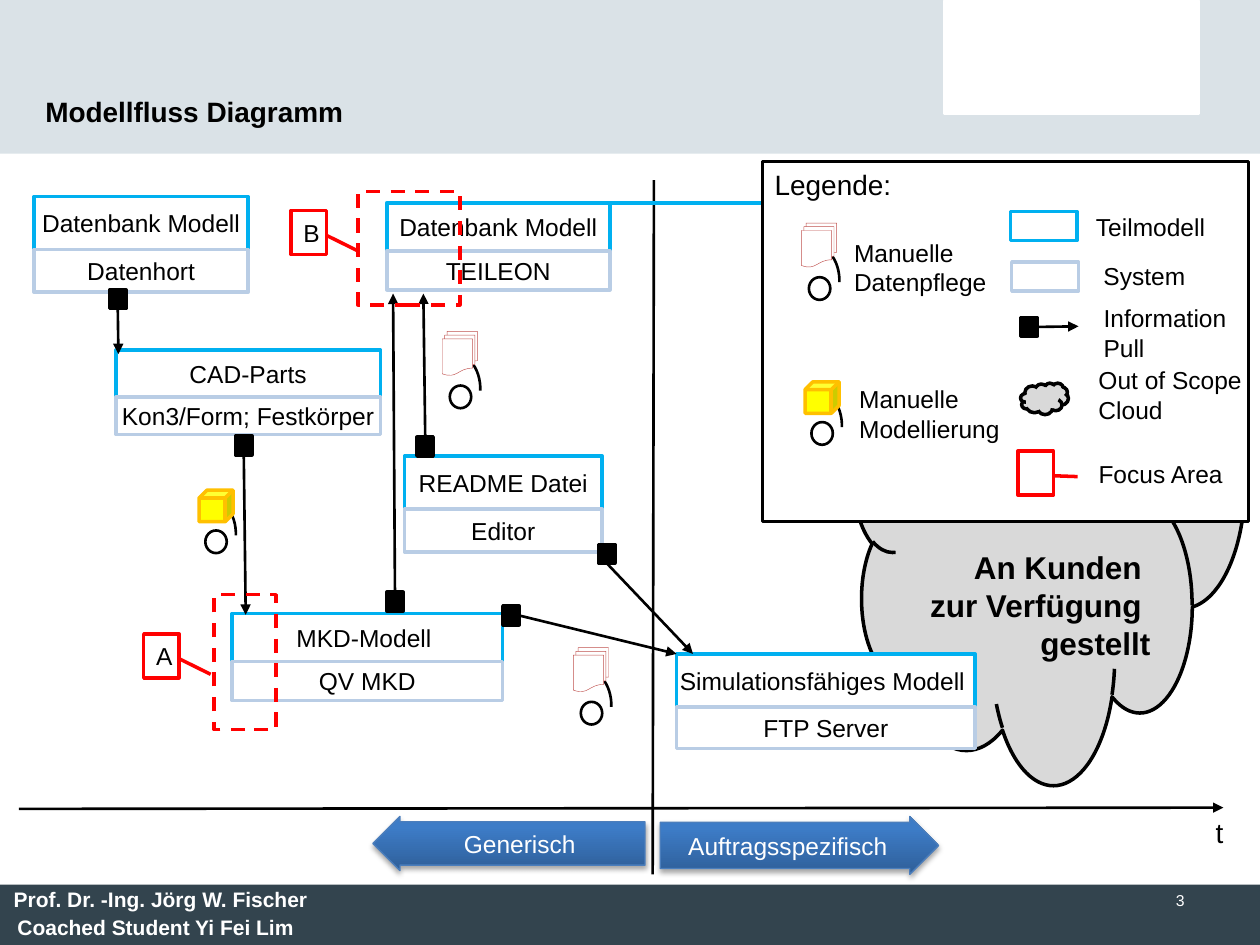
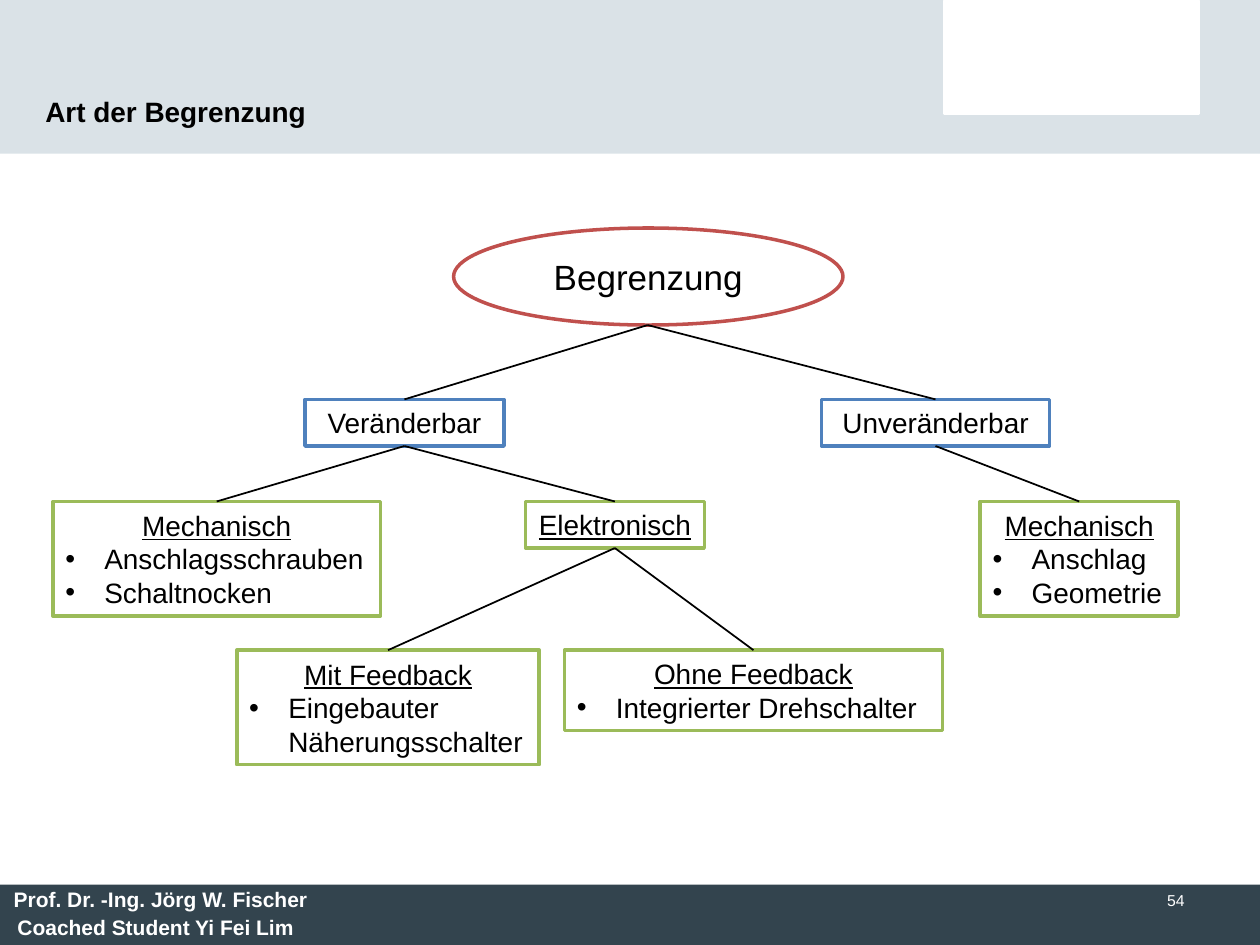
import lxml.etree
import pptx
import pptx.dml.color
import pptx.enum.dml
import pptx.enum.shapes
import pptx.enum.text
import pptx.oxml
import pptx.oxml.ns
import pptx.util

RGBColor = pptx.dml.color.RGBColor
BLACK = RGBColor(0x00, 0x00, 0x00)
WHITE = RGBColor(0xFF, 0xFF, 0xFF)
HEADER_GREY = RGBColor(0xDA, 0xE2, 0xE7)
FOOTER_SLATE = RGBColor(0x33, 0x44, 0x4E)
MODEL_CYAN = RGBColor(0x00, 0xB0, 0xF0)
SYSTEM_BLUE = RGBColor(0xB9, 0xCD, 0xE5)
FOCUS_RED = RGBColor(0xFF, 0x00, 0x00)
CLOUD_GREY = RGBColor(0xD9, 0xD9, 0xD9)
CUBE_YELLOW = RGBColor(0xFF, 0xFF, 0x00)
CUBE_ORANGE = RGBColor(0xFF, 0xC0, 0x00)
BRICK = RGBColor(0xC0, 0x50, 0x4D)
LEVEL_BLUE = RGBColor(0x4F, 0x81, 0xBD)
LEAF_GREEN = RGBColor(0x9B, 0xBB, 0x59)
PHASE_DARK = RGBColor(0x2F, 0x5F, 0x99)
PHASE_LIGHT = RGBColor(0x3D, 0x7C, 0xC7)
PHASE_EDGE = RGBColor(0x4B, 0x7E, 0xBC)

SHAPE = pptx.enum.shapes.MSO_SHAPE
ALIGN = pptx.enum.text.PP_ALIGN
ANCHOR = pptx.enum.text.MSO_ANCHOR
TOP, LEFT, BOTTOM, RIGHT = range(4)

presentation = pptx.Presentation()
presentation.slide_width = pptx.util.Inches(10)
presentation.slide_height = pptx.util.Inches(7.5)
COLUMN = presentation.slide_width / 100
ROW = presentation.slide_height / 75


def add_box(slide, preset, at, fill=None, line=None, width=2, text=None, size=14,
            color=BLACK, bold=False, align=ALIGN.CENTER, anchor=ANCHOR.MIDDLE):
    """Add a shape, or a text box if preset is None; at is x, y, w, h in grid cells."""
    x, y, w, h = at
    frame = int(x * COLUMN), int(y * ROW), int(w * COLUMN), int(h * ROW)
    if preset is None:
        box = slide.shapes.add_textbox(*frame)
    else:
        box = slide.shapes.add_shape(preset, *frame)
        box.shadow.inherit = False
        if fill is None:
            box.fill.background()
        else:
            box.fill.solid()
            box.fill.fore_color.rgb = fill
        if line is None:
            box.line.fill.background()
        else:
            box.line.color.rgb = line
            box.line.width = pptx.util.Pt(width)
    if text:
        box.text_frame.word_wrap = False
        box.text_frame.vertical_anchor = anchor
        paragraph = box.text_frame.paragraphs[0]
        paragraph.text = text
        paragraph.alignment = align
        paragraph.font.name = "Arial"
        paragraph.font.size = pptx.util.Pt(size)
        paragraph.font.bold = bold
        paragraph.font.color.rgb = color
    return box


def add_line(slide, start, end, color=BLACK, width=1.5, arrow=False):
    connector = slide.shapes.add_connector(
        pptx.enum.shapes.MSO_CONNECTOR.STRAIGHT,
        int(start[0] * COLUMN), int(start[1] * ROW), int(end[0] * COLUMN), int(end[1] * ROW))
    connector.line.color.rgb = color
    connector.line.width = pptx.util.Pt(width)
    if arrow:
        lxml.etree.SubElement(connector.line._get_or_add_ln(),
                              pptx.oxml.ns.qn("a:tailEnd"), type="triangle")
    lxml.etree.SubElement(connector.element.spPr, pptx.oxml.ns.qn("a:effectLst"))
    return connector


# Slides with title and page number
layout = presentation.slide_layouts[5]
layout_title = layout.placeholders[0]
layout_title.left, layout_title.top = int(2.6 * COLUMN), int(4.4 * ROW)
layout_title.width, layout_title.height = int(60.7 * COLUMN), int(6.3 * ROW)
layout_title.text_frame.vertical_anchor = ANCHOR.BOTTOM

slides = []
for heading, page in (("Modellfluss Diagramm", "3"), ("Art der Begrenzung", "54")):
    slide = presentation.slides.add_slide(layout)
    title = slide.shapes.title.text_frame.paragraphs[0]
    title.text = heading
    title.alignment = ALIGN.LEFT
    title.font.name = "Arial"
    title.font.size = pptx.util.Pt(16)
    title.font.bold = True
    title.font.color.rgb = BLACK
    add_box(slide, None, (71.7, 70.2, 23.3, 4.8), text=page, size=9, color=WHITE,
            align=ALIGN.RIGHT, anchor=ANCHOR.TOP).text_frame.word_wrap = True
    slides.append(slide)
flow, limits = slides

# Bands and footer, moved to the layout that both slides share
bands = [
    add_box(flow, SHAPE.RECTANGLE, (0, 0, 100, 12.2), HEADER_GREY),
    add_box(flow, SHAPE.RECTANGLE, (75, 0.1, 20.1, 8.9), WHITE, WHITE),
    add_box(flow, SHAPE.RECTANGLE, (0, 70.2, 100, 4.8), FOOTER_SLATE),
]
for x, y, w, author in ((0.1, 69.9, 26.8, "Prof. Dr. -Ing. Jörg W. Fischer"),
                        (0.4, 72.1, 24.5, "Coached Student Yi Fei Lim")):
    bands.append(add_box(flow, None, (x, y, w, 3), text=author, size=12, color=WHITE,
                         bold=True, align=ALIGN.LEFT, anchor=ANCHOR.TOP))
for number, band in enumerate(bands, start=101):
    band.element.xpath(".//p:cNvPr")[0].set("id", str(number))
    layout.shapes.element.append(band.element)

# Model flow: time axis, cloud and models with their systems
add_line(flow, (1.5, 64.2), (97.1, 64.1), arrow=True)
add_box(flow, None, (95.5, 64.2, 2.7, 3.7), text="t", size=16,
        align=ALIGN.LEFT, anchor=ANCHOR.TOP)
add_box(flow, SHAPE.CLOUD, (67.7, 15.6, 31.1, 46.6), CLOUD_GREY, BLACK,
        text="An Kunden \nzur Verfügung \ngestellt", size=18, bold=True,
        align=ALIGN.RIGHT, anchor=ANCHOR.BOTTOM)

models = (
    (2.7, 15.6, 17, 4.2, 3.4, "Datenbank Modell", "Datenhort"),
    (9.2, 27.8, 21, 3.7, 3, "CAD-Parts", "Kon3/Form; Festkörper"),
    (18.4, 48.7, 21.5, 3.8, 3.1, "MKD-Modell ", "QV MKD"),
    (32.1, 36.2, 15.7, 4.2, 3.4, "README Datei", "Editor"),
    (30.7, 16.1, 17.7, 3.8, 3.1, "Datenbank Modell", "TEILEON"),
    (53.7, 51.9, 23.7, 4.2, 3.3, "Simulationsfähiges Modell ", "FTP Server"),
)
for x, y, w, model_h, system_h, model, system in models:
    add_box(flow, SHAPE.RECTANGLE, (x, y, w, model_h), WHITE, MODEL_CYAN, text=model)
    add_box(flow, SHAPE.RECTANGLE, (x, y + model_h, w, system_h), WHITE, SYSTEM_BLUE,
            text=system)

add_line(flow, (51.9, 14.3), (51.8, 69.4))
add_line(flow, (48.4, 16.1), (78.4, 16.1), MODEL_CYAN, 2.25)

phases = (
    (SHAPE.LEFT_ARROW, (29.6, 64.8, 21.6, 4.3), "Generisch"),
    (SHAPE.RIGHT_ARROW, (52.4, 64.8, 22.1, 4.6), "Auftragsspezifisch"),
)
for preset, at, phase in phases:
    arrow = add_box(flow, preset, at, PHASE_DARK, PHASE_EDGE, 0.75, phase, color=WHITE)
    arrow.adjustments[0] = 0.8
    arrow.fill.gradient()
    arrow.fill.gradient_angle = 90
    for stop, position, shade in zip(arrow.fill.gradient_stops, (0, 0.8),
                                     (PHASE_DARK, PHASE_LIGHT)):
        stop.position = position
        stop.color.rgb = shade
    effects = arrow.element.spPr.find(pptx.oxml.ns.qn("a:effectLst"))
    effects.append(pptx.oxml.parse_xml(
        f'<a:outerShdw {pptx.oxml.ns.nsdecls("a")} blurRad="39400" dist="22900" '
        'dir="5400000" rotWithShape="0"><a:srgbClr val="000000">'
        '<a:alpha val="35000"/></a:srgbClr></a:outerShdw>'))

# Legend
add_box(flow, SHAPE.RECTANGLE, (60.5, 12.8, 38.6, 28.6), WHITE, BLACK, 1.5,
        "Legende:", 16, align=ALIGN.LEFT, anchor=ANCHOR.TOP)
add_box(flow, SHAPE.RECTANGLE, (80.2, 16.8, 5.3, 2.3), WHITE, MODEL_CYAN)
add_box(flow, SHAPE.RECTANGLE, (80.3, 20.8, 5.3, 2.3), WHITE, SYSTEM_BLUE)
add_box(flow, SHAPE.CLOUD, (81, 30.4, 3.8, 2.5), CLOUD_GREY, BLACK)
legend = (
    (86, 16.3, 10.7, 3.4, "Teilmodell"),
    (86.6, 20.2, 8.6, 3.4, "System"),
    (86.6, 23.6, 11.8, 5.7, "Information\nPull"),
    (86.2, 28.5, 13.4, 5.7, "Out of Scope\nCloud"),
    (86.2, 35.9, 11.9, 3.4, "Focus Area"),
    (66.8, 18.4, 12.6, 5.7, "Manuelle\nDatenpflege"),
    (67.2, 30, 13.2, 5.7, "Manuelle\nModellierung"),
)
for *at, meaning in legend:
    add_box(flow, None, at, text=meaning, align=ALIGN.LEFT, anchor=ANCHOR.TOP)

# Information pulls: corner of the square, side the arrow leaves, arrow tip
pulls = (
    (8.7, 23, BOTTOM, (9.4, 28.1)),
    (18.7, 34.6, BOTTOM, (19.5, 48.8)),
    (39.9, 48.1, RIGHT, (53.7, 51.9)),
    (47.5, 43.2, BOTTOM, (55, 51.9)),
    (30.7, 47, TOP, (31.2, 23.3)),
    (33.1, 34.7, TOP, (33.6, 23.3)),
    (81, 25.2, RIGHT, (85.6, 25.9)),
)
for x, y, side, tip in pulls:
    source = add_box(flow, SHAPE.RECTANGLE, (x, y, 1.3, 1.5), BLACK, BLACK)
    add_line(flow, (x, y), tip, arrow=True).begin_connect(source, side)

# Focus areas
for area in ((17, 47.2, 4.9, 10.7), (28.4, 15.2, 8.1, 9)):
    focus = add_box(flow, SHAPE.RECTANGLE, area, line=FOCUS_RED)
    focus.line.dash_style = pptx.enum.dml.MSO_LINE.DASH
focus_labels = (
    (23.1, 16.7, "B", 0.92, 1.9),
    (11.4, 50.3, "A", 0.92, 1.9),
    (80.8, 35.8, None, 0.58, 1.69),
)
for x, y, letter, pointer_y, pointer_x in focus_labels:
    label = add_box(flow, SHAPE.LINE_CALLOUT_1, (x, y, 2.8, 3.5), WHITE, FOCUS_RED,
                    text=letter, align=ALIGN.LEFT)
    for index, share in enumerate((0.56, 0.99, pointer_y, pointer_x)):
        label.adjustments[index] = share

# Manual work: a person below a cube (modelling) or documents (data care)
manual_tasks = ((16.3, 42.1, "cube"), (35.7, 30.6, "documents"), (64.2, 22, "documents"),
                (64.4, 33.5, "cube"), (46.1, 55.7, "documents"))
for x, y, task in manual_tasks:
    add_box(flow, SHAPE.OVAL, (x, y, 1.7, 1.8), WHITE, BLACK, 1.5)
    shoulders = add_box(flow, SHAPE.ARC, (x - 1, y - 2.5, 3.4, 5), line=BLACK, width=1.5)
    shoulders.rotation = 172.8
    shoulders.adjustments[0] = 79.17
    shoulders.adjustments[1] = 120.15
    if task == "cube":
        add_box(flow, SHAPE.CUBE, (x - 0.5, y - 3.2, 2.7, 2.5), CUBE_YELLOW, CUBE_ORANGE)
    else:
        add_box(flow, SHAPE.FLOWCHART_MULTIDOCUMENT, (x - 0.6, y - 4.3, 2.8, 3.5),
                WHITE, BRICK, 0.25)

# Tree of limits: key, parent, place, outline, heading, bullets
add_box(limits, SHAPE.OVAL, (36, 18.1, 30.9, 7.7), WHITE, BRICK, text="Begrenzung", size=20)
root_bottom = (51.4, 25.8)
branches = (
    ("variable", None, (24.2, 31.7, 15.8, 3.7), LEVEL_BLUE, "Veränderbar", ()),
    ("fixed", None, (65.2, 31.7, 18.1, 3.7), LEVEL_BLUE, "Unveränderbar", ()),
    ("mechanical", "variable", (4.2, 39.8, 26, 9.1), LEAF_GREEN, "Mechanisch",
     ("Anschlagsschrauben", "Schaltnocken")),
    ("electronic", "variable", (41.7, 39.8, 14.2, 3.7), LEAF_GREEN, "Elektronisch", ()),
    ("rigid", "fixed", (77.8, 39.8, 15.7, 9.1), LEAF_GREEN, "Mechanisch",
     ("Anschlag", "Geometrie")),
    ("feedback", "electronic", (18.8, 51.6, 24, 9.1), LEAF_GREEN, "Mit Feedback",
     ("Eingebauter\nNäherungsschalter",)),
    ("open loop", "electronic", (44.8, 51.6, 30, 6.4), LEAF_GREEN, "Ohne Feedback",
     ("Integrierter Drehschalter",)),
)
nodes = {}
for key, parent, at, outline, heading, examples in branches:
    node = nodes[key] = add_box(limits, SHAPE.RECTANGLE, at, WHITE, outline,
                                text=heading, size=16)
    node.text_frame.paragraphs[0].font.underline = outline == LEAF_GREEN
    for example in examples:
        item = node.text_frame.add_paragraph()
        item.text = example
        item.alignment = ALIGN.LEFT
        properties = item._p.get_or_add_pPr()
        properties.set("marL", str(pptx.util.Inches(0.31)))
        properties.set("indent", str(-pptx.util.Inches(0.31)))
        lxml.etree.SubElement(properties, pptx.oxml.ns.qn("a:buFont"), typeface="Arial")
        lxml.etree.SubElement(properties, pptx.oxml.ns.qn("a:buChar"), char="•")
        item.font.name = "Arial"
        item.font.size = pptx.util.Pt(16)
        item.font.color.rgb = BLACK
    branch = add_line(limits, root_bottom, at[:2], width=1)
    if parent:
        branch.begin_connect(nodes[parent], BOTTOM)
    branch.end_connect(node, TOP)

presentation.save("out.pptx")
